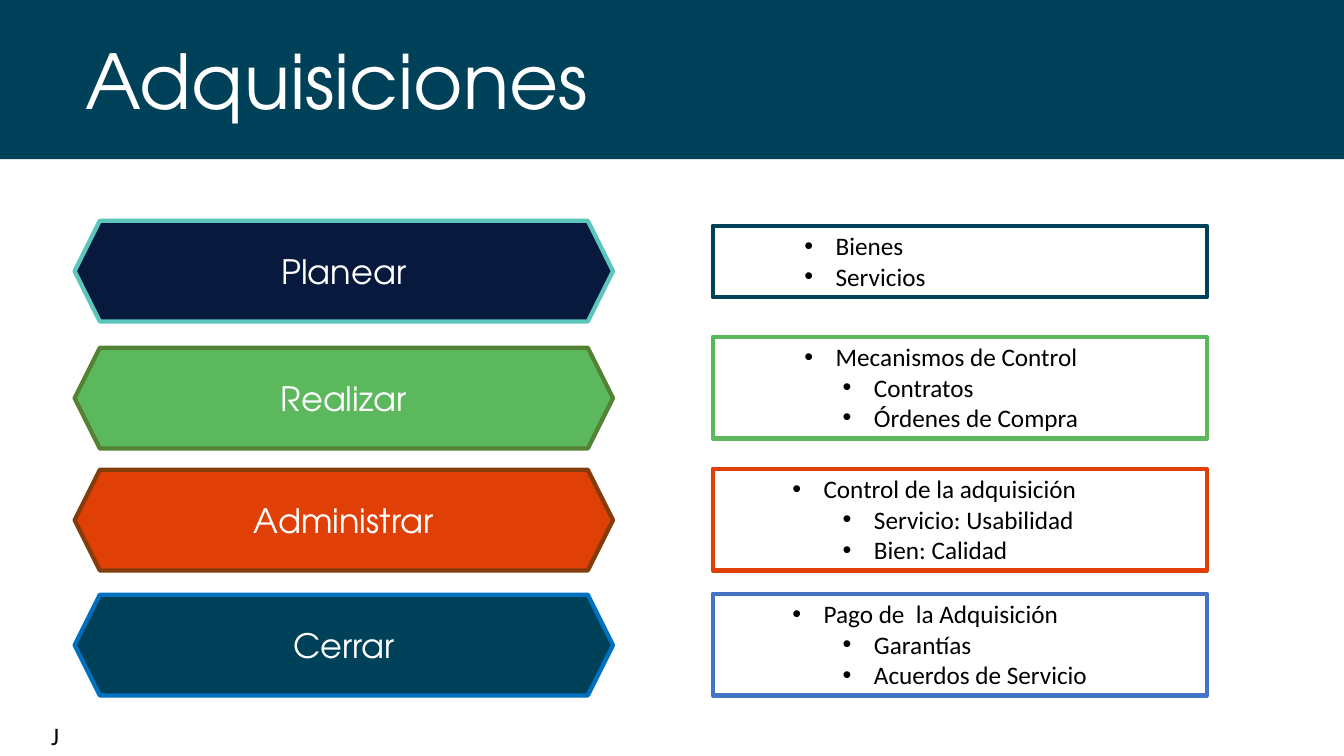
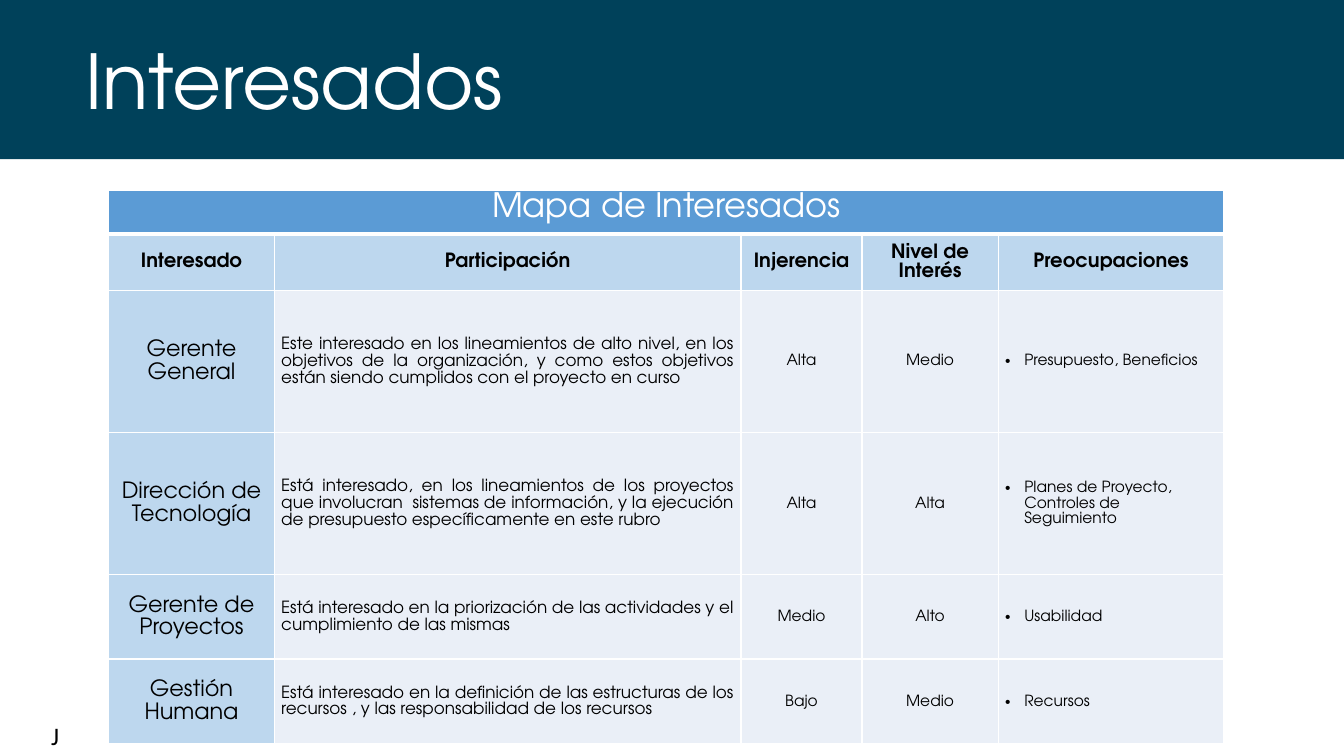
from dataclasses import dataclass
from typing import Any

from lxml.etree import SubElement
from pptx import Presentation
from pptx.dml.color import RGBColor
from pptx.enum.shapes import MSO_SHAPE
from pptx.enum.text import MSO_ANCHOR, MSO_AUTO_SIZE, PP_ALIGN
from pptx.oxml.ns import qn
from pptx.util import Inches, Pt

WHITE = RGBColor(0xFF, 0xFF, 0xFF)
BLACK = RGBColor(0, 0, 0)
TEAL = RGBColor(0x00, 0x41, 0x5A)
NAVY = RGBColor(0x08, 0x19, 0x3E)
MINT = RGBColor(0x5B, 0xC6, 0xBC)
GREEN = RGBColor(0x5C, 0xB8, 0x5C)
MOSS = RGBColor(0x54, 0x82, 0x35)
ORANGE = RGBColor(0xE0, 0x40, 0x06)
BROWN = RGBColor(0x84, 0x3C, 0x0B)
BLUE = RGBColor(0x00, 0x70, 0xC0)
ROYAL = RGBColor(0x44, 0x72, 0xC4)
SKY = RGBColor(0x5B, 0x9B, 0xD5)
PALE = RGBColor(0xBD, 0xD7, 0xEE)
MIST = RGBColor(0xEA, 0xEF, 0xF7)

HEAD = "TeX Gyre Adventor"
BODY = "Calibri"
MARGINS = {"margin_left": Inches(0.07), "margin_right": Inches(0.07),
           "margin_top": 0, "margin_bottom": 0}


@dataclass(frozen=True)
class Look:
    size: float
    color: RGBColor = BLACK
    name: str = HEAD
    bold: bool = False


@dataclass(frozen=True)
class Item:
    text: str
    level: int
    indent: float


@dataclass(frozen=True)
class Phase:
    name: str
    top: float
    fill: RGBColor
    line: RGBColor
    box_top: float
    box_high: float
    frame: RGBColor
    items: tuple[Item, ...]


@dataclass(frozen=True)
class Column:
    title: str
    width: float
    look: Look
    align: PP_ALIGN
    fill: RGBColor = MIST
    bullet: bool = False


TITLE = Look(54, WHITE)
LABEL = Look(24, WHITE)
NOTE = Look(18, name=BODY)
TOPIC = Look(14, bold=True)
ROLE, DUTY, RATE = Look(16), Look(12), Look(11)

PHASES = (
    Phase("Planear", 2.19, NAVY, MINT, 2.24, 0.71, TEAL,
          (Item("Bienes", 1, 1.12), Item("Servicios", 1, 1.12))),
    Phase("Realizar", 3.45, GREEN, MOSS, 3.34, 1.01, GREEN,
          (Item("Mecanismos de Control", 1, 1.12),
           Item("Contratos", 3, 1.5), Item("Órdenes de Compra", 3, 1.5))),
    Phase("Administrar", 4.66, ORANGE, BROWN, 4.65, 1.01, ORANGE,
          (Item("Control de la adquisición", 2, 1),
           Item("Servicio: Usabilidad", 3, 1.5), Item("Bien: Calidad", 3, 1.5))),
    Phase("Cerrar", 5.9, TEAL, BLUE, 5.89, 1.01, ROYAL,
          (Item("Pago de  la Adquisición", 2, 1),
           Item("Garantías", 3, 1.5), Item("Acuerdos de Servicio", 3, 1.5))),
)

COLUMNS = (
    Column("Interesado", 1.64, ROLE, PP_ALIGN.CENTER, PALE),
    Column("Participación", 4.63, DUTY, PP_ALIGN.JUSTIFY),
    Column("Injerencia", 1.2, RATE, PP_ALIGN.CENTER),
    Column("Nivel de Interés", 1.35, RATE, PP_ALIGN.CENTER),
    Column("Preocupaciones", 2.24, RATE, PP_ALIGN.LEFT, bullet=True),
)
HEIGHTS = (0.36, 0.56, 1.41, 1.41, 0.84, 0.84)
PEOPLE = (
    ("Gerente General",
     "Este interesado en los lineamientos de alto nivel, en los objetivos de la "
     "organización, y como estos objetivos están siendo cumplidos con el proyecto en curso",
     "Alta", "Medio", "Presupuesto, Beneficios"),
    ("Dirección de Tecnología",
     "Está interesado, en los lineamientos de los proyectos que involucran  sistemas de "
     "información, y la ejecución de presupuesto específicamente en este rubro",
     "Alta", "Alta", "Planes de Proyecto, Controles de Seguimiento"),
    ("Gerente de Proyectos",
     "Está interesado en la priorización de las actividades y el cumplimiento de las mismas",
     "Medio", "Alto", "Usabilidad"),
    ("Gestión Humana",
     "Está interesado en la definición de las estructuras de los recursos , y las "
     "responsabilidad de los recursos",
     "Bajo", "Medio", "Recursos"),
)


def assign(target: Any, values: dict[str, Any]) -> None:
    for key, value in values.items():
        setattr(target, key, value)


def write(par: Any, text: str, look: Look, **layout: Any) -> None:
    """Put one styled run in a paragraph and set the paragraph's layout."""
    assign(par, layout)
    run = par.add_run()
    run.text = text
    assign(run.font, {"size": Pt(look.size), "name": look.name, "bold": look.bold})
    run.font.color.rgb = look.color


def add_bullet(par: Any, left: float, hang: float) -> None:
    props = par._p.get_or_add_pPr()
    props.set("marL", str(Inches(left)))
    props.set("indent", str(-Inches(hang)))
    SubElement(props, qn("a:buFont"), typeface="Arial")
    SubElement(props, qn("a:buChar"), char="•")


def add_block(slide: Any, kind: MSO_SHAPE, at: tuple[float, ...], fill: RGBColor,
              line: RGBColor | None = None) -> Any:
    shape = slide.shapes.add_shape(kind, *map(Inches, at))
    shape.shadow.inherit = False
    shape.fill.solid()
    shape.fill.fore_color.rgb = fill
    if line is None:
        shape.line.fill.background()
    else:
        shape.line.color.rgb = line
        shape.line.width = Pt(3)
    return shape


def add_label(slide: Any, at: tuple[float, ...], text: str, look: Look) -> None:
    frame = slide.shapes.add_textbox(*map(Inches, at)).text_frame
    assign(frame, {"word_wrap": True, "auto_size": MSO_AUTO_SIZE.SHAPE_TO_FIT_TEXT})
    write(frame.paragraphs[0], text, look)


def add_page(deck: Any, title: str) -> Any:
    """Add a slide with the title band and the corner mark."""
    slide = deck.slides.add_slide(deck.slide_layouts[6])
    add_block(slide, MSO_SHAPE.RECTANGLE, (0, 0, 13.49, 1.58), TEAL)
    add_label(slide, (0.75, 0.29, 12, 1.01), title, TITLE)
    add_label(slide, (0.41, 7.1, 0.48, 0.4), "J", NOTE)
    return slide


def add_phase(slide: Any, phase: Phase) -> None:
    shape = add_block(slide, MSO_SHAPE.HEXAGON, (0.74, phase.top, 5.34, 1),
                      phase.fill, phase.line)
    shape.text_frame.vertical_anchor = MSO_ANCHOR.MIDDLE
    write(shape.text_frame.paragraphs[0], phase.name, LABEL, alignment=PP_ALIGN.CENTER)

    box = add_block(slide, MSO_SHAPE.RECTANGLE, (7.07, phase.box_top, 4.9, phase.box_high),
                    WHITE, phase.frame)
    frame = box.text_frame
    assign(frame, {"word_wrap": True, "vertical_anchor": MSO_ANCHOR.TOP,
                   "auto_size": MSO_AUTO_SIZE.SHAPE_TO_FIT_TEXT})
    for i, item in enumerate(phase.items):
        par = frame.add_paragraph() if i else frame.paragraphs[0]
        write(par, item.text, NOTE, alignment=PP_ALIGN.LEFT, level=item.level)
        add_bullet(par, item.indent, 0.31)


def dress(cell: Any, fill: RGBColor, anchor: MSO_ANCHOR = MSO_ANCHOR.MIDDLE,
          top: float = 1, base: float = 1) -> None:
    """Set a cell's margins, anchor, white borders and fill."""
    assign(cell, MARGINS | {"vertical_anchor": anchor})
    props = cell._tc.get_or_add_tcPr()
    for side, width in {"L": 1, "R": 1, "T": top, "B": base}.items():
        line = SubElement(props, qn(f"a:ln{side}"), w=str(Pt(width)))
        paint = SubElement(line, qn("a:solidFill"))
        SubElement(paint, qn("a:srgbClr"), val=str(WHITE))
    cell.fill.solid()
    cell.fill.fore_color.rgb = fill


def add_map(slide: Any) -> None:
    """Draw the table of stakeholders."""
    area = map(Inches, (1.08, 1.89, sum(c.width for c in COLUMNS), sum(HEIGHTS)))
    table = slide.shapes.add_table(len(HEIGHTS), len(COLUMNS), *area).table
    assign(table, {"first_row": False, "horz_banding": False})
    for row, high in zip(table.rows, HEIGHTS):
        row.height = Inches(high)

    def fill_cell(cell: Any, text: str, look: Look, align: PP_ALIGN) -> Any:
        par = cell.text_frame.paragraphs[0]
        write(par, text, look, alignment=align, line_spacing=1.07)
        return par

    for x, col in enumerate(COLUMNS):
        table.columns[x].width = Inches(col.width)
        dress(table.cell(0, x), SKY, MSO_ANCHOR.TOP, base=3)
        dress(table.cell(1, x), PALE, top=3)
        fill_cell(table.cell(1, x), col.title, TOPIC, PP_ALIGN.CENTER)
        for y, person in enumerate(PEOPLE, 2):
            cell = table.cell(y, x)
            dress(cell, col.fill)
            par = fill_cell(cell, person[x], col.look, col.align)
            if col.bullet:
                add_bullet(par, 0.19, 0.19)
    banner = table.cell(0, 0)
    banner.merge(table.cell(0, len(COLUMNS) - 1))
    fill_cell(banner, "Mapa de Interesados", LABEL, PP_ALIGN.CENTER)


def main() -> None:
    deck = Presentation()
    assign(deck, {"slide_width": Inches(13.33), "slide_height": Inches(7.5)})
    page = add_page(deck, "Adquisiciones")
    for phase in PHASES:
        add_phase(page, phase)
    add_map(add_page(deck, "Interesados"))
    deck.save("out.pptx")


if __name__ == "__main__":
    main()
